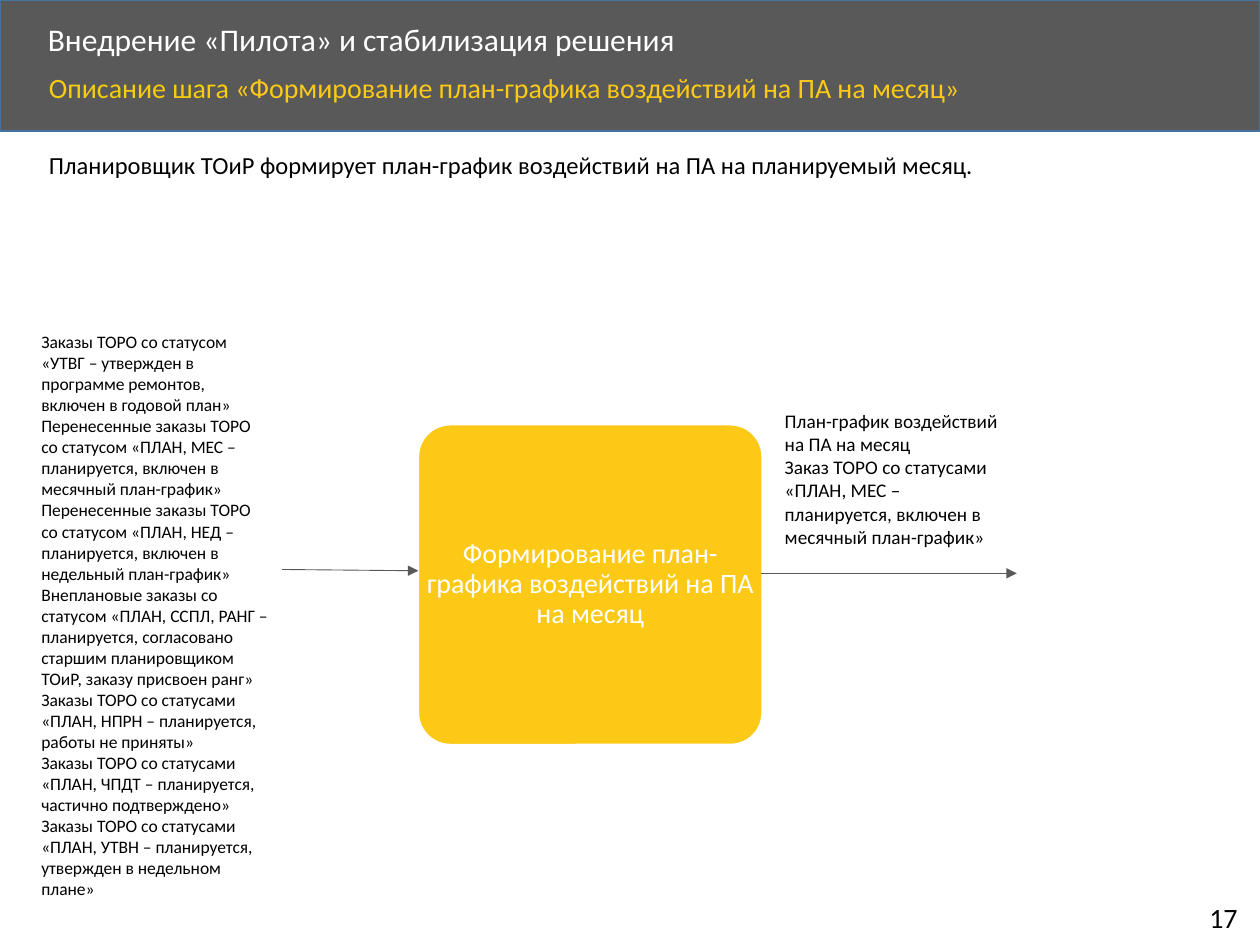
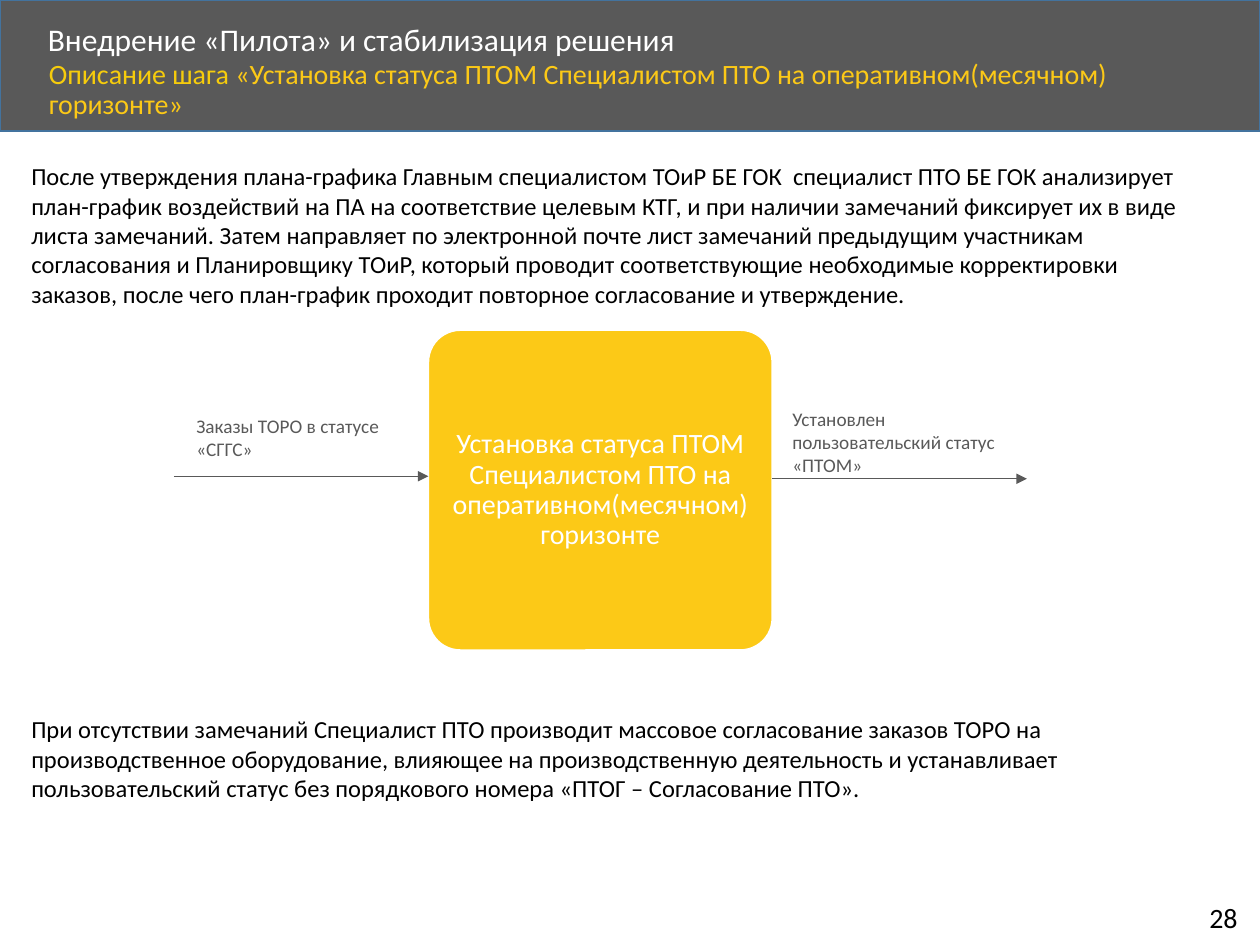
from dataclasses import dataclass

from lxml.etree import SubElement
from pptx import Presentation
from pptx.dml.color import RGBColor
from pptx.enum.shapes import MSO_CONNECTOR, MSO_SHAPE
from pptx.enum.text import MSO_ANCHOR, PP_ALIGN
from pptx.oxml.ns import qn
from pptx.slide import Slide
from pptx.text.text import TextFrame
from pptx.util import Inches, Pt

FONT = "Calibri"
GRAY, YELLOW, SUBTITLE_YELLOW = "595959", "FCC917", "F6CC0C"
WHITE, BLACK, BAND_EDGE = "FFFFFF", "000000", "43739E"
STEP_WIDTH, STEP_HEIGHT = 2.73, 2.54
LABEL_MARGIN_X, LABEL_MARGIN_Y = 0.06, 0.08
SECTION = "Внедрение «Пилота» и стабилизация решения"


@dataclass(frozen=True)
class Note:
    """A text block: place, size, colour and paragraphs."""
    left: float
    top: float
    width: float
    height: float
    size: float
    color: str
    paragraphs: tuple[str, ...]


@dataclass(frozen=True)
class Flow:
    """An arrow from one point to another."""
    start_x: float
    start_y: float
    end_x: float
    end_y: float


@dataclass(frozen=True)
class StepPage:
    """One slide that describes a process step."""
    number: int
    step: str
    subtitle_top: float
    step_left: float
    step_top: float
    flows: tuple[Flow, ...]
    notes: tuple[Note, ...]


PAGES = (
    StepPage(
        17, "Формирование план-графика воздействий на ПА на месяц",
        0.54, 3.32, 3.37,
        (Flow(6.04, 4.55, 8.07, 4.55), Flow(2.24, 4.52, 3.32, 4.53)),
        (
            Note(6.13, 3.2, 2, 1.21, 11, BLACK, (
                "План-график воздействий на ПА на месяц",
                "Заказ ТОРО со статусами «ПЛАН, МЕС – планируется, включен в "
                "месячный план-график»",
            )),
            Note(0.23, 2.58, 2, 4.64, 10, BLACK, (
                "Заказы ТОРО со статусом «УТВГ – утвержден в программе ремонтов, "
                "включен в годовой план»",
                "Перенесенные заказы ТОРО со статусом «ПЛАН, МЕС – планируется, "
                "включен в месячный план-график»",
                "Перенесенные заказы ТОРО со статусом «ПЛАН, НЕД – планируется, "
                "включен в недельный план-график»",
                "Внеплановые заказы со статусом «ПЛАН, ССПЛ, РАНГ – планируется, "
                "согласовано старшим планировщиком ТОиР, заказу присвоен ранг»",
                "Заказы ТОРО со статусами «ПЛАН, НПРН – планируется, "
                "работы не приняты»",
                "Заказы ТОРО со статусами «ПЛАН, ЧПДТ – планируется, "
                "частично подтверждено»",
                "Заказы ТОРО со статусами «ПЛАН, УТВН – планируется, "
                "утвержден в недельном плане»",
            )),
            Note(0.29, 1.14, 9.46, 0.34, 14, BLACK, (
                "Планировщик ТОиР формирует план-график воздействий на ПА "
                "на планируемый месяц.",
            )),
        ),
    ),
    StepPage(
        28, "Установка статуса ПТОМ Специалистом ПТО на "
            "оперативном(месячном) горизонте",
        0.43, 3.4, 2.62,
        (Flow(6.13, 3.8, 8.15, 3.8), Flow(1.38, 3.78, 3.4, 3.78)),
        (
            Note(1.46, 3.24, 2, 0.47, 11, GRAY, ("Заказы ТОРО в статусе «СГГС»",)),
            Note(6.19, 3.18, 2, 0.66, 11, GRAY,
                 ("Установлен пользовательский статус «ПТОМ»",)),
            Note(0.15, 1.23, 9.46, 1.28, 14, BLACK, (
                "После утверждения плана-графика Главным специалистом ТОиР БЕ ГОК  "
                "специалист ПТО БЕ ГОК анализирует план-график воздействий на ПА "
                "на соответствие целевым КТГ, и при наличии замечаний фиксирует "
                "их в виде листа замечаний. Затем направляет по электронной почте "
                "лист замечаний предыдущим участникам согласования и Планировщику "
                "ТОиР, который проводит соответствующие необходимые корректировки "
                "заказов, после чего план-график проходит повторное согласование "
                "и утверждение.",
            )),
            Note(0.15, 5.62, 9.46, 0.81, 14, BLACK, (
                "При отсутствии замечаний Специалист ПТО производит массовое "
                "согласование заказов ТОРО на производственное оборудование, "
                "влияющее на производственную деятельность и устанавливает "
                "пользовательский статус без порядкового номера "
                "«ПТОГ – Согласование ПТО».",
            )),
        ),
    ),
)


def rgb(value: str) -> RGBColor:
    """Turn a hex string into a colour."""
    return RGBColor.from_string(value)


def write(frame: TextFrame, paragraphs: tuple, size: float, spacing: float = 1.0,
          align: PP_ALIGN = PP_ALIGN.LEFT) -> None:
    """Write paragraphs, each a tuple of (text, colour) runs."""
    frame.word_wrap = True
    for index, runs in enumerate(paragraphs):
        paragraph = frame.add_paragraph() if index else frame.paragraphs[0]
        paragraph.alignment = align
        paragraph.line_spacing = spacing
        paragraph.space_before = Pt(0)
        for text, color in runs:
            run = paragraph.add_run()
            run.text = text
            run.font.name = FONT
            run.font.size = Pt(size)
            run.font.color.rgb = rgb(color)


def add_text_frame(slide: Slide, left: float, top: float, width: float,
                   height: float) -> TextFrame:
    """Add a text box and return its frame."""
    return slide.shapes.add_textbox(
        Inches(left), Inches(top), Inches(width), Inches(height)).text_frame


def add_panel(slide: Slide, kind: MSO_SHAPE, left: float, top: float, width: float,
              height: float, fill: str, edge: str):
    """Add a filled, outlined shape without a shadow."""
    panel = slide.shapes.add_shape(
        kind, Inches(left), Inches(top), Inches(width), Inches(height))
    panel.shadow.inherit = False
    panel.fill.solid()
    panel.fill.fore_color.rgb = rgb(fill)
    panel.line.color.rgb = rgb(edge)
    panel.line.width = Pt(1)
    return panel


def add_header(slide: Slide, page: StepPage) -> None:
    """Add the band, section title and step subtitle."""
    band = add_panel(slide, MSO_SHAPE.RECTANGLE, 0, 0, 10, 1.04, GRAY, BAND_EDGE)
    title = slide.shapes.title
    title.element.addprevious(band.element)
    title.left, title.top = Inches(0.28), Inches(0.14)
    title.width, title.height = Inches(8.07), Inches(0.38)
    title.text_frame.vertical_anchor = MSO_ANCHOR.MIDDLE
    write(title.text_frame, (((SECTION, WHITE),),), 18, 0.9)
    subtitle = add_text_frame(slide, 0.29, page.subtitle_top, 8.66, 0.45)
    write(subtitle, ((("Описание шага ", SUBTITLE_YELLOW),
                      (f"«{page.step}»", YELLOW)),), 16, 0.9)


def add_step(slide: Slide, page: StepPage) -> None:
    """Add the rounded step box and its centred label."""
    left, top = page.step_left, page.step_top
    box = add_panel(slide, MSO_SHAPE.ROUNDED_RECTANGLE, left, top,
                    STEP_WIDTH, STEP_HEIGHT, YELLOW, WHITE)
    box.adjustments[0] = 0.1
    label = add_text_frame(slide, left + LABEL_MARGIN_X, top + LABEL_MARGIN_Y,
                           STEP_WIDTH - 2 * LABEL_MARGIN_X,
                           STEP_HEIGHT - 2 * LABEL_MARGIN_Y)
    label.margin_left = label.margin_right = Inches(0)
    label.margin_top = label.margin_bottom = Inches(0)
    label.vertical_anchor = MSO_ANCHOR.MIDDLE
    write(label, (((page.step, WHITE),),), 16, 0.9, PP_ALIGN.CENTER)


def add_flow(slide: Slide, flow: Flow) -> None:
    """Add a thin line with a triangular arrowhead."""
    arrow = slide.shapes.add_connector(
        MSO_CONNECTOR.STRAIGHT, Inches(flow.start_x), Inches(flow.start_y),
        Inches(flow.end_x), Inches(flow.end_y))
    arrow.line.color.rgb = rgb(GRAY)
    arrow.line.width = Pt(0.5)
    SubElement(arrow.line._get_or_add_ln(), qn("a:tailEnd"), type="triangle")
    SubElement(arrow.element.spPr, qn("a:effectLst"))


def add_note(slide: Slide, note: Note) -> None:
    """Add a text block."""
    frame = add_text_frame(slide, note.left, note.top, note.width, note.height)
    write(frame, tuple(((text, note.color),) for text in note.paragraphs), note.size)


def add_page_number(slide: Slide, number: int) -> None:
    """Add the page number at the lower right."""
    frame = add_text_frame(slide, 9.5, 7.1, 0.46, 0.37)
    write(frame, (((str(number), BLACK),),), 16)


def main() -> None:
    """Build and save the presentation."""
    presentation = Presentation()
    presentation.slide_width, presentation.slide_height = Inches(10), Inches(7.5)
    title_only = presentation.slide_layouts[5]
    for page in PAGES:
        slide = presentation.slides.add_slide(title_only)
        add_header(slide, page)
        add_page_number(slide, page.number)
        add_step(slide, page)
        for flow in page.flows:
            add_flow(slide, flow)
        for note in page.notes:
            add_note(slide, note)
    presentation.save("out.pptx")


if __name__ == "__main__":
    main()
